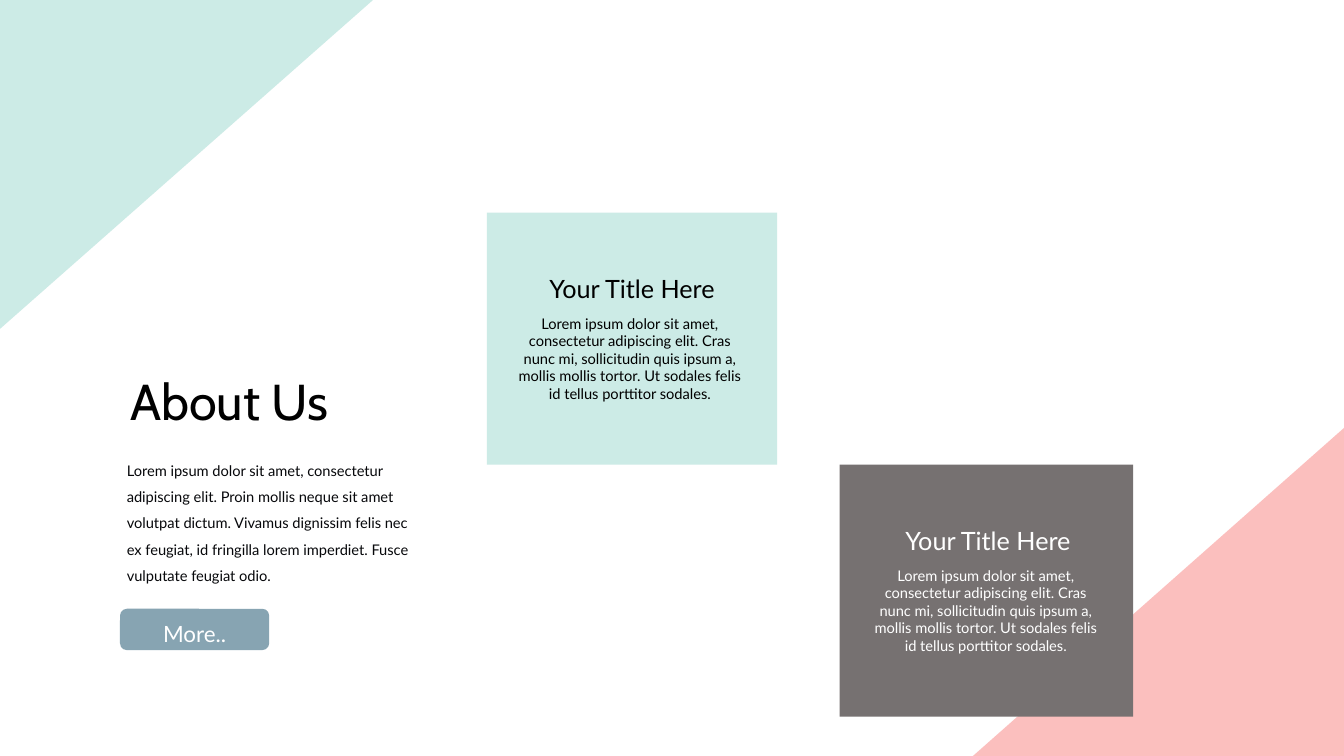
from pptx import Presentation
from pptx.dml.color import RGBColor
from pptx.enum.shapes import MSO_SHAPE as Shape
from pptx.enum.text import MSO_ANCHOR as Anchor, MSO_AUTO_SIZE as AutoSize, PP_ALIGN as Align
from pptx.util import Inches, Pt

MINT = RGBColor(0xCC, 0xEB, 0xE6)
PINK = RGBColor(0xFB, 0xBF, 0xBE)
STEEL = RGBColor(0x87, 0xA4, 0xB2)
GRAY = RGBColor(0x76, 0x71, 0x71)
INK = RGBColor(0x07, 0x08, 0x0B)
BLACK = RGBColor(0, 0, 0)
WHITE = RGBColor(0xFF, 0xFF, 0xFF)

HEADING = {"name": "Cabin", "size": Pt(36)}
CARD_TITLE = {"name": "Lato", "size": Pt(18)}
BUTTON = {"name": "Lato", "size": Pt(16)}
BODY = {"name": "Lato", "size": Pt(10.5)}

ABOUT = (
    "Lorem ipsum dolor sit amet, consectetur adipiscing elit. Proin mollis neque sit amet "
    "volutpat dictum. Vivamus dignissim felis nec ex feugiat, id fringilla lorem imperdiet. "
    "Fusce vulputate feugiat odio."
)
CARD_BODY = (
    "Lorem ipsum dolor sit amet, consectetur adipiscing elit. Cras nunc mi, sollicitudin quis "
    "ipsum a, mollis mollis tortor. Ut sodales felis id tellus porttitor sodales."
)


class SlideBuilder:
    """Places elements by percent of the slide's width and height."""

    def __init__(self, deck):
        self.deck = deck
        self.slide = deck.slides.add_slide(deck.slide_layouts[5])

    def box(self, left, top, width, height):
        across, down = self.deck.slide_width / 100, self.deck.slide_height / 100
        return [round(v) for v in (left * across, top * down, width * across, height * down)]

    def panel(self, kind, place, color, rotation=0):
        panel = self.slide.shapes.add_shape(kind, *self.box(*place))
        panel.shadow.inherit = False
        panel.fill.solid()
        panel.fill.fore_color.rgb = color
        panel.line.fill.background()
        panel.rotation = rotation

    def set_text(self, holder, words, style, color, align, spacing):
        frame = holder.text_frame
        frame.text = words
        layout = {"word_wrap": True, "vertical_anchor": Anchor.TOP,
                  "auto_size": AutoSize.SHAPE_TO_FIT_TEXT}
        for key, value in layout.items():
            setattr(frame, key, value)
        paragraph = frame.paragraphs[0]
        paragraph.alignment = align
        paragraph.line_spacing = spacing
        font = paragraph.runs[0].font
        for key, value in style.items():
            setattr(font, key, value)
        font.color.rgb = color

    def title(self, words, place):
        heading = self.slide.shapes.title
        heading.left, heading.top, heading.width, heading.height = self.box(*place)
        self.set_text(heading, words, HEADING, BLACK, Align.LEFT, 1.0)

    def text(self, words, place, style, color, align=Align.CENTER, spacing=1.0):
        holder = self.slide.shapes.add_textbox(*self.box(*place))
        self.set_text(holder, words, style, color, align, spacing)

    def card(self, place, text_left, fill, color):
        top = place[1]
        self.panel(Shape.RECTANGLE, place, fill)
        self.text(CARD_BODY, (text_left, top + 12.8, 19.05, 13.07), BODY, color)
        self.text("Your Title Here", (text_left + 0.23, top + 7.33, 18.9, 5.33),
                  CARD_TITLE, color)


def main():
    deck = Presentation()
    deck.slide_width, deck.slide_height = Inches(7.5 * 16 / 9), Inches(7.5)
    page = SlideBuilder(deck)

    # Corner triangles
    page.panel(Shape.RIGHT_TRIANGLE, (73.88, 53.6, 24.6, 49.47), PINK, 270)
    page.panel(Shape.RIGHT_TRIANGLE, (1.5, -2.93, 24.6, 49.6), MINT, 90)

    # Introduction
    page.title("About Us", (8.93, 48.27, 28.73, 9.47))
    page.text(ABOUT, (8.7, 59.2, 23.1, 19.07), BODY, INK, Align.LEFT, 1.5)

    # Button
    page.panel(Shape.ROUNDED_RECTANGLE, (8.93, 80.53, 11.1, 5.47), STEEL)
    page.text("More..", (8.93, 79.6, 11.1, 6), BUTTON, WHITE, spacing=1.5)

    # Cards
    page.card((36.23, 28.13, 21.6, 33.33), 37.35, MINT, BLACK)
    page.card((62.48, 61.47, 21.83, 33.33), 63.83, GRAY, WHITE)

    deck.save("out.pptx")


if __name__ == "__main__":
    main()
